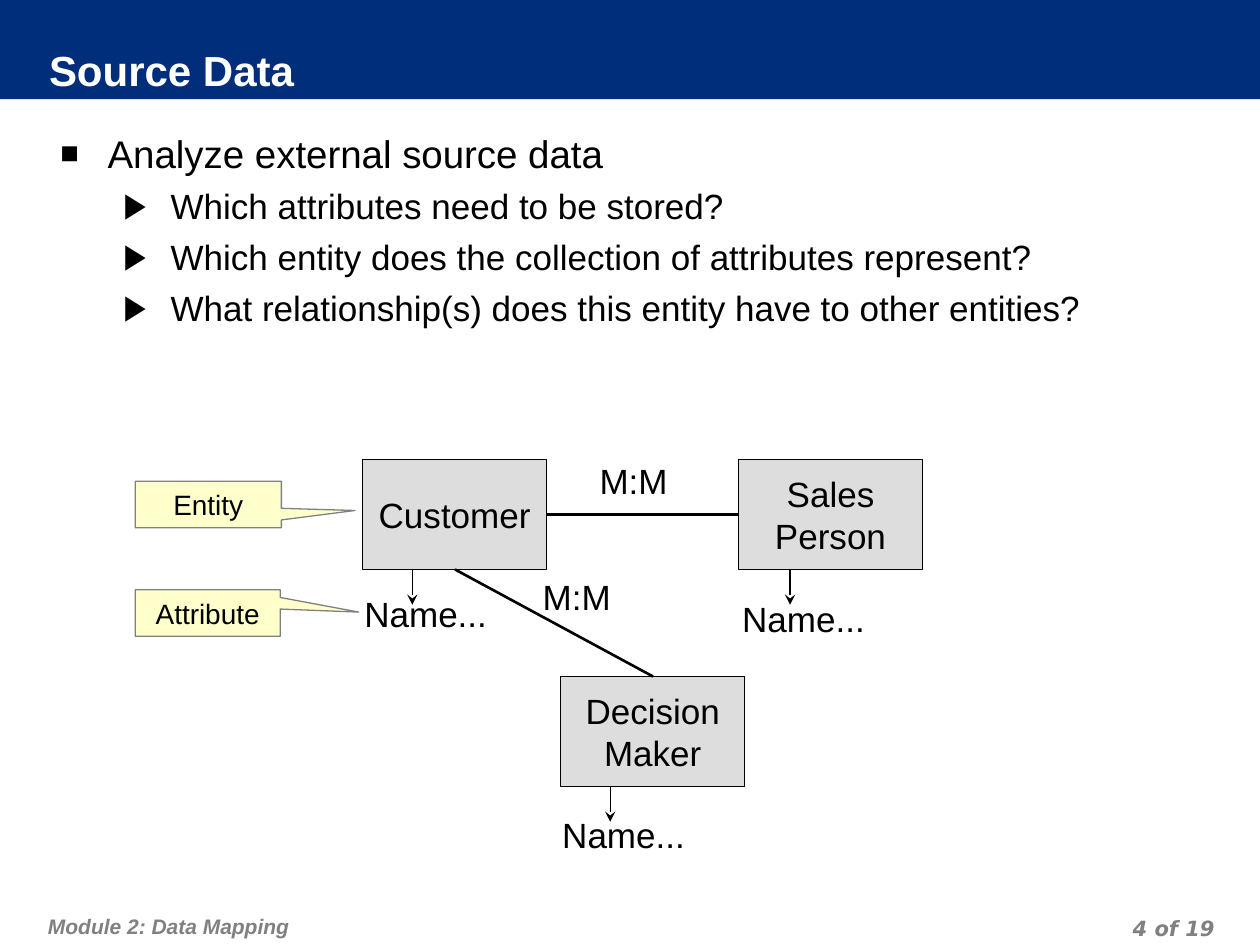
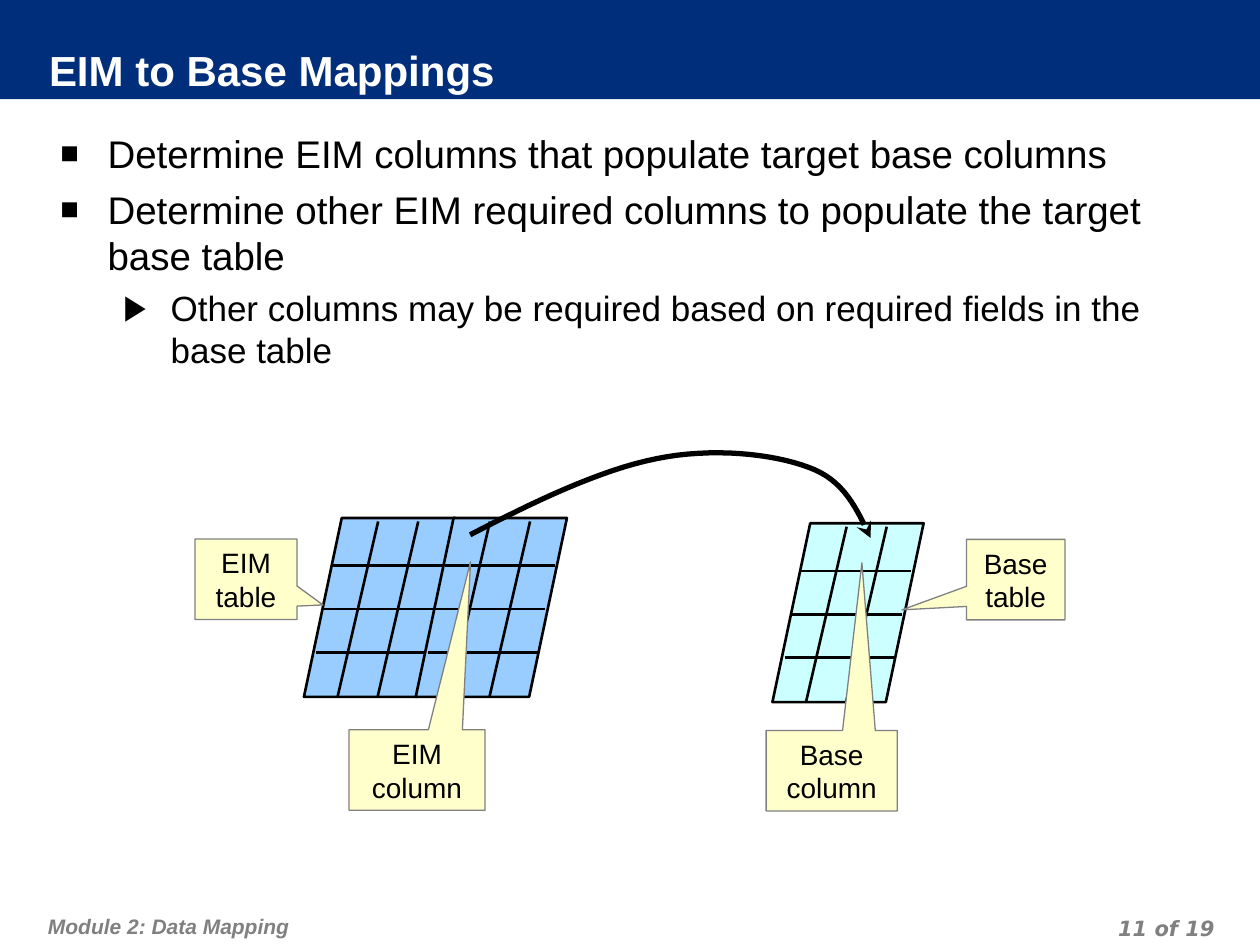
from lxml import etree
from pptx import Presentation
from pptx import util as u
from pptx.dml.color import RGBColor
from pptx.enum import shapes, text
from pptx.oxml.ns import qn

Pt = u.Pt
NAVY = RGBColor(0x00, 0x2E, 0x7A)
WHITE = RGBColor(0xFF, 0xFF, 0xFF)
BLACK = RGBColor(0x00, 0x00, 0x00)
GREY = RGBColor(0x80, 0x80, 0x80)
LIGHT_GREY = RGBColor(0xDD, 0xDD, 0xDD)
CREAM = RGBColor(0xFF, 0xFF, 0xCC)
BLUE = RGBColor(0x99, 0xCC, 0xFF)
AQUA = RGBColor(0xCC, 0xFF, 0xFF)
BODY_FONT = "Arial"
NUMBER_FONT = "DejaVu Sans"
LEFT, CENTER, RIGHT = text.PP_ALIGN.LEFT, text.PP_ALIGN.CENTER, text.PP_ALIGN.RIGHT
TOP, MIDDLE = text.MSO_ANCHOR.TOP, text.MSO_ANCHOR.MIDDLE


def write(box, lines, size, color=BLACK, align=LEFT, anchor=MIDDLE, wrap=True,
          insets=(7.2, 3.6, 7.2, 3.6), font=BODY_FONT, bold=False, italic=False):
    """Fill a box with one paragraph per line; return its paragraphs."""
    frame = box.text_frame
    frame.word_wrap, frame.vertical_anchor = wrap, anchor
    (frame.margin_left, frame.margin_top,
     frame.margin_right, frame.margin_bottom) = [Pt(inset) for inset in insets]
    for number, line in enumerate(lines):
        para = frame.add_paragraph() if number else frame.paragraphs[0]
        para.alignment = align
        span = para.add_run()
        span.text = line
        span.font.name, span.font.size = font, Pt(size)
        span.font.bold, span.font.italic = bold, italic
        span.font.color.rgb = color
    return frame.paragraphs


def draw_line(page, start, end, width, arrow=False):
    """Draw a straight black line, with an arrowhead at its end if asked."""
    line = page.shapes.add_connector(
        shapes.MSO_CONNECTOR.STRAIGHT, *[Pt(value) for value in (*start, *end)])
    line.line.color.rgb, line.line.width = BLACK, Pt(width)
    etree.SubElement(line._element.spPr, qn("a:effectLst"))
    if arrow:
        etree.SubElement(line.line._get_or_add_ln(), qn("a:tailEnd"), type="stealth")


deck = Presentation()
deck.slide_width, deck.slide_height = Pt(720), Pt(540)

# Title, page number, and bullets as (level, wording)
outlines = [
    ("Source Data", 4, [
        (0, "Analyze external source data"),
        (1, "Which attributes need to be stored?"),
        (1, "Which entity does the collection of attributes represent?"),
        (1, "What relationship(s) does this entity have to other entities?")]),
    ("EIM to Base Mappings", 11, [
        (0, "Determine EIM columns that populate target base columns"),
        (0, "Determine other EIM required columns to populate the target base table"),
        (1, "Other columns may be required based on required fields in the base table")]),
]
# Per level: bullet, bullet size in percent, text size, indent, space before
levels = [("■", 80, 22, 27, 5.5), ("▶", 100, 20, 63, 5)]

# Band, title, footers and bullets
for title, number, bullets in outlines:
    page = deck.slides.add_slide(deck.slide_layouts[6])
    band = page.shapes.add_shape(shapes.MSO_SHAPE.RECTANGLE, 0, 0, Pt(720), Pt(56.7))
    band.shadow.inherit = False
    band.fill.solid()
    band.fill.fore_color.rgb = NAVY
    band.line.fill.background()

    footer = page.shapes.add_textbox(Pt(23.8), Pt(511.2), Pt(445), Pt(28.8))
    page_number = page.shapes.add_textbox(Pt(529.9), Pt(519.8), Pt(167.8), Pt(18))
    style = dict(size=12, color=GREY, anchor=TOP, bold=True, italic=True)
    for para in (
            *write(footer, ["Module 2: Data Mapping"], insets=(3.6, 7.2, 3.6, 3.6), **style),
            *write(page_number, [f"{number} of 19"], align=RIGHT,
                   insets=(3.6, 0, 3.6, 0), font=NUMBER_FONT, **style)):
        para.line_spacing = Pt(18)

    heading = page.shapes.add_textbox(Pt(28), Pt(27.4), Pt(660), Pt(28.8))
    write(heading, [title], 24, WHITE, insets=(0, 0, 3.6, 3.6), bold=True)

    body = page.shapes.add_textbox(Pt(27.4), Pt(67), Pt(669.6), Pt(445))
    paras = write(body, [wording for _, wording in bullets], 20, anchor=TOP,
                  insets=(7.2, 7.2, 7.2, 3.6))
    for index, (para, (level, _)) in enumerate(zip(paras, bullets)):
        mark, percent, size, indent, gap = levels[level]
        para.level = level
        para.runs[0].font.size = Pt(size)
        if index:
            para.space_before = Pt(gap)
        props = para._p.get_or_add_pPr()
        props.set("marL", str(Pt(indent)))
        props.set("indent", str(-Pt(27)))
        bullet_color = etree.SubElement(props, qn("a:buClr"))
        etree.SubElement(bullet_color, qn("a:srgbClr"), val=str(BLACK))
        etree.SubElement(props, qn("a:buSzPct"), val=str(percent * 1000))
        etree.SubElement(props, qn("a:buFont"), typeface=BODY_FONT)
        etree.SubElement(props, qn("a:buChar"), char=mark)

source_page, mapping_page = deck.slides

# Entities, each with an arrow down to its attribute label
entities = [
    (["Customer"], 207.2, 262.6, 201.1, 334.8),
    (["Decision", "Maker"], 320.4, 386.6, 314.2, 461.5),
    (["Sales", "Person"], 422, 262.6, 417, 337.7),
]
for lines, left, top, label_left, label_top in entities:
    entity = source_page.shapes.add_shape(
        shapes.MSO_SHAPE.RECTANGLE, Pt(left), Pt(top), Pt(105.2), Pt(62.8))
    entity.shadow.inherit = False
    entity.fill.solid()
    entity.fill.fore_color.rgb = LIGHT_GREY
    entity.line.color.rgb, entity.line.width = BLACK, Pt(0.75)
    write(entity, lines, 20, align=CENTER, wrap=False)
    label = source_page.shapes.add_textbox(Pt(label_left), Pt(label_top), Pt(90), Pt(31.5))
    write(label, ["Name..."], 20, anchor=TOP)
    arrow_x, bottom = label_left + 34.5, top + 62.8
    draw_line(source_page, (arrow_x, bottom), (arrow_x, bottom + 20.2), 0.75, arrow=True)

# Relationships
relationships = [
    ((312.5, 294), (422, 294), 335.5, 258.8),
    ((260, 325.4), (373.2, 386.6), 303, 325.4),
]
for start, end, left, top in relationships:
    draw_line(source_page, start, end, 1.5)
    label = source_page.shapes.add_textbox(Pt(left), Pt(top), Pt(60), Pt(31.5))
    write(label, ["M:M"], 20, anchor=TOP)

# Slanted tables: the EIM table is two overlapping tiles, the base table one
tile_width, tile_height = 86.4, 102.2
for left, top, color in [(441.4, 299, AQUA), (173.7, 296, BLUE), (237.6, 296, BLUE)]:
    tile = mapping_page.shapes.add_shape(
        shapes.MSO_SHAPE.PARALLELOGRAM, Pt(left), Pt(top), Pt(tile_width), Pt(tile_height))
    tile.adjustments[0] = 0.25
    tile.shadow.inherit = False
    tile.fill.solid()
    tile.fill.fore_color.rgb = color
    tile.line.color.rgb, tile.line.width = BLACK, Pt(1.5)
    for column_x in (42.4, 65.3):
        draw_line(mapping_page, (left + column_x, top + 2),
                  (left + column_x - 23.2, top + tile_height), 1.5)
    for row_x, row_y in [(16.5, 27.2), (11.2, 52), (7, 76.8)]:
        draw_line(mapping_page, (left + row_x, top + row_y),
                  (left + row_x + 62.8, top + row_y), 1.5)

# Curved mapping arrow, traced along three Bezier arcs
curve_start = (268.6, 305.6)
arcs = [
    ((305.3, 286.6), (342.7, 268.6), (375.1, 262.1)),
    ((406.8, 255.6), (441.4, 259.2), (462.2, 267.1)),
    ((482.4, 274.3), (489.6, 290.9), (497.5, 307.4)),
]
steps = 16
points, arc_start = [], curve_start
for arc in arcs:
    for step in range(1, steps + 1):
        t = step / steps
        weights = ((1 - t) ** 3, 3 * t * (1 - t) ** 2, 3 * t ** 2 * (1 - t), t ** 3)
        points.append(tuple(
            Pt(sum(weight * point[axis] for weight, point in zip(weights, (arc_start, *arc))))
            for axis in (0, 1)))
    arc_start = arc[-1]
builder = mapping_page.shapes.build_freeform(*[Pt(value) for value in curve_start])
builder.add_line_segments(points, close=False)
curve = builder.convert_to_shape()
curve.shadow.inherit = False
curve.fill.background()
curve.line.color.rgb, curve.line.width = BLACK, Pt(3)
line_props = curve.line._get_or_add_ln()
etree.SubElement(line_props, qn("a:round"))
etree.SubElement(line_props, qn("a:tailEnd"), type="stealth")

# Callouts, with the pointer tip relative to the box size
callouts = [
    (source_page, "Entity", 77.3, 275, 83.5, 26.6, 1.004, 0.131),
    (source_page, "Attribute", 77.3, 337, 82.8, 26.6, 1.043, -0.019),
    (mapping_page, "EIM table", 111.5, 308, 58.2, 46, 0.756, 0.319),
    (mapping_page, "Base table", 552.3, 308.2, 56.2, 46, -1.157, 0.376),
    (mapping_page, "EIM column", 199.4, 417, 77.8, 46, 0.393, -2.587),
    (mapping_page, "Base column", 437.8, 417.4, 74.9, 46, 0.231, -2.582),
]
for page, wording, left, top, width, height, tip_x, tip_y in callouts:
    callout = page.shapes.add_shape(
        shapes.MSO_SHAPE.RECTANGULAR_CALLOUT, Pt(left), Pt(top), Pt(width), Pt(height))
    callout.adjustments[0], callout.adjustments[1] = tip_x, tip_y
    callout.shadow.inherit = False
    callout.fill.solid()
    callout.fill.fore_color.rgb = CREAM
    callout.line.color.rgb, callout.line.width = GREY, Pt(0.75)
    write(callout, [wording], 16, align=CENTER)

deck.save("out.pptx")
